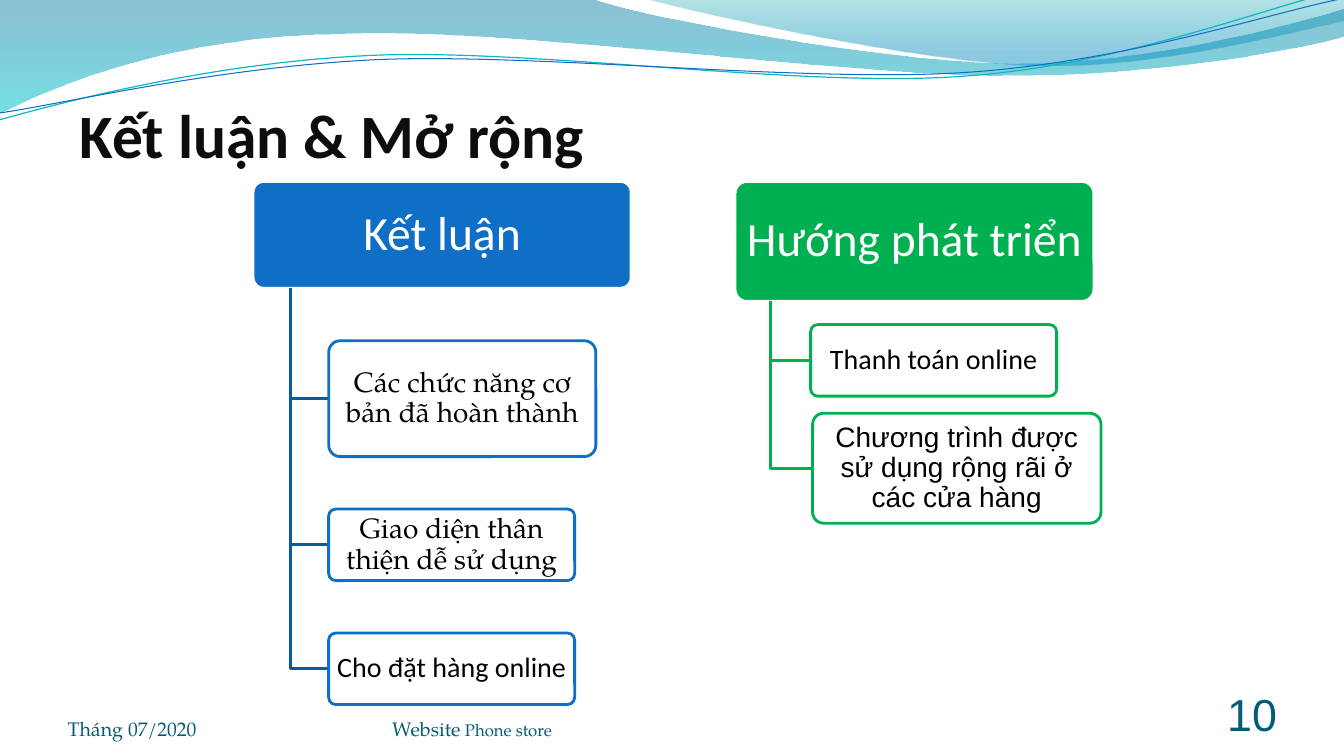
from math import cos, radians, sin

from lxml import etree
from pptx import Presentation
from pptx.dml.color import RGBColor
from pptx.enum.shapes import MSO_SHAPE
from pptx.enum.text import MSO_ANCHOR, PP_ALIGN
from pptx.oxml.ns import qn
from pptx.util import Inches, Pt

ROUNDED = MSO_SHAPE.ROUNDED_RECTANGLE
LEFT, CENTER, RIGHT = PP_ALIGN.LEFT, PP_ALIGN.CENTER, PP_ALIGN.RIGHT
MIDDLE, BOTTOM = MSO_ANCHOR.MIDDLE, MSO_ANCHOR.BOTTOM


class Theme:
    sans, serif, plain = "Calibri", "TeX Gyre Pagella", "Arial"
    title_size, header_size, item_size = 44, 34, 20
    footer_size, footer_small, number_size = 14, 12, 32
    title, footer, white, black = "0D0D0D", "045D75", "FFFFFF", "000000"
    blue, blue_branch, green = "0F6FC6", "0C599F", "00B050"
    teal_line = "0AB8BF"
    branch_width = 2


# Content: boxes are (left, top, width, height)
TITLE = "Kết luận & Mở rộng"
COLUMNS = [
    {"header": "Kết luận", "box": (2.51, 1.8, 3.75, 1.06),
     "color": Theme.blue, "branch": Theme.blue_branch,
     "items": [
         ("Các chức năng cơ bản đã hoàn thành", Theme.serif, (3.26, 3.38, 2.65, 1.15)),
         ("Giao diện thân thiện dễ sử dụng", Theme.serif, (3.26, 5.05, 2.44, 0.71)),
         ("Cho đặt hàng online", Theme.sans, (3.26, 6.28, 2.44, 0.71))]},
    {"header": "Hướng phát triển", "box": (7.29, 1.8, 3.56, 1.19),
     "color": Theme.green, "branch": Theme.green,
     "items": [
         ("Thanh toán online", Theme.sans, (8.04, 3.22, 2.44, 0.71)),
         ("Chương trình được sử dụng rộng rãi ở các cửa hàng", Theme.plain,
          (8.06, 4.1, 2.86, 1.09))]},
]
FOOTERS = [
    ((0.67, 6.95, 3.11, 0.4), LEFT, Theme.serif,
     [("Tháng 07/2020", Theme.footer_size)]),
    ((3.89, 6.95, 4.89, 0.4), LEFT, Theme.serif,
     [("Website", Theme.footer_size), (" Phone store", Theme.footer_small)]),
    ((11.56, 6.95, 1.11, 0.4), RIGHT, Theme.plain, [("10", Theme.number_size)]),
]

# Waves: a pair is a corner, six numbers are a Bézier segment
# Gradient stops are (position, colour, opacity in percent)
WAVE_FILLS = [
    ([(0, 0), (5.87, -0.01), (6.34, 0.17, 8.85, 0.63, 10.11, 0.63),
      (11.38, 0.63, 12.78, 0.26, 13.33, 0.09), (13.35, 0.36),
      (13.11, 0.44, 11.6, 0.76, 9.94, 0.75), (8.29, 0.75, 5.09, 0.28, 3.43, 0.34),
      (1.72, 0.36, 0.61, 0.83, -0.01, 1.13), (0, 0)],
     [(0, "0074A1", 45), (1, "00C6CF", 55)]),
    ([(6.39, -0.01), (6.79, 0.11, 9.09, 0.62, 10.25, 0.65),
      (11.41, 0.69, 12.82, 0.32, 13.33, 0.21), (13.33, 0), (6.39, -0.01)],
     [(0, "00A1A9", 30), (0.8, "008BBF", 45)]),
]
WAVE_LINES = [
    ([(-0.01, 1.19), (0.64, 1.01, 2.11, 0.62, 3.69, 0.55),
      (5.27, 0.48, 7.9, 0.87, 9.5, 0.76), (11.1, 0.66, 12.52, 0.08, 13.31, -0.1)],
     Theme.teal_line, 0.85),
    ([(0, 1.12), (0.63, 1.03, 2.18, 0.66, 3.78, 0.59),
      (5.37, 0.53, 7.96, 0.82, 9.55, 0.72), (11.15, 0.62, 12.55, 0.14, 13.34, -0.02)],
     Theme.blue, 0.75),
]
WAVE_TILT = -2.7
WAVE_CENTER = (6.66, 0.58)


def rgb(color):
    return RGBColor.from_string(color)


def inches(values):
    return [Inches(value) for value in values]


def pairs(segment):
    return list(zip(segment[::2], segment[1::2]))


def level(segment):
    """Turn a tilted segment back to horizontal about the wave centre."""
    angle, (center_x, center_y), result = radians(-WAVE_TILT), WAVE_CENTER, []
    for x, y in pairs(segment):
        dx, dy = x - center_x, y - center_y
        result += [center_x + dx * cos(angle) - dy * sin(angle),
                   center_y + dx * sin(angle) + dy * cos(angle)]
    return result


def add_outline(slide, segments, close=False):
    start, *ends = [inches(segment[-2:]) for segment in segments]
    builder = slide.shapes.build_freeform(*start, scale=1.0)
    builder.add_line_segments(ends, close=close)
    shape = builder.convert_to_shape()
    shape.shadow.inherit = False
    # Bend the straight pieces that carry control points
    pieces = list(shape.element.spPr.iter(qn("a:lnTo")))
    for piece, segment in zip(pieces, segments[1:]):
        if len(segment) == 6:
            curve = etree.Element(qn("a:cubicBezTo"))
            for x, y in pairs(segment):
                point = etree.SubElement(curve, qn("a:pt"))
                point.set("x", str(Inches(x) - shape.left))
                point.set("y", str(Inches(y) - shape.top))
            piece.getparent().replace(piece, curve)
    return shape


def add_line(slide, segments, color, width):
    shape = add_outline(slide, segments)
    shape.fill.background()
    shape.line.color.rgb = rgb(color)
    shape.line.width = Pt(width)
    return shape


def add_wave(slide, segments, stops):
    shape = add_outline(slide, segments, close=True)
    shape.line.fill.background()
    shape.fill.gradient()
    shape.fill.gradient_angle = 270
    for stop, (position, color, _) in zip(shape.fill.gradient_stops, stops):
        stop.position = position
        stop.color.rgb = rgb(color)
    colors = shape.element.spPr.find(qn("a:gradFill")).iter(qn("a:srgbClr"))
    for element, (_, _, opacity) in zip(colors, stops):
        etree.SubElement(element, qn("a:alpha")).set("val", str(opacity * 1000))


def set_text(shape, runs, font, color, align, anchor, insets, bold=False):
    frame = shape.text_frame
    frame.word_wrap = True
    frame.vertical_anchor = anchor
    (frame.margin_left, frame.margin_top,
     frame.margin_right, frame.margin_bottom) = inches(insets)
    paragraph = frame.paragraphs[0]
    paragraph.alignment = align
    for text, size in runs:
        run = paragraph.add_run()
        run.text = text
        run.font.name = font
        run.font.size = Pt(size)
        run.font.bold = bold
        run.font.color.rgb = rgb(color)
    return paragraph


def add_card(slide, box, fill, line, text, size, font, color, insets):
    shape = slide.shapes.add_shape(ROUNDED, *inches(box))
    shape.shadow.inherit = False
    shape.adjustments[0] = 0.1
    shape.fill.solid()
    shape.fill.fore_color.rgb = rgb(fill)
    shape.line.color.rgb = rgb(line)
    shape.line.width = Pt(Theme.branch_width)
    paragraph = set_text(shape, [(text, size)], font, color, CENTER, MIDDLE, insets)
    paragraph.line_spacing = 0.9


def add_column(slide, column):
    left, top, width, height = column["box"]
    trunk, bottom = left + width / 10, top + height
    add_card(slide, column["box"], column["color"], Theme.white, column["header"],
             Theme.header_size, Theme.sans, Theme.white, (0.06, 0.05, 0.06, 0.05))
    for text, font, box in column["items"]:
        middle = box[1] + box[3] / 2
        add_line(slide, [(trunk, bottom), (trunk, middle), (box[0], middle)],
                 column["branch"], Theme.branch_width)
        add_card(slide, box, Theme.white, column["color"], text, Theme.item_size,
                 font, Theme.black, (0.04, 0.03, 0.04, 0.03))


def main():
    presentation = Presentation()
    presentation.slide_width, presentation.slide_height = inches((13.33, 7.5))
    slide = presentation.slides.add_slide(presentation.slide_layouts[5])

    # Wave banner
    for segments, stops in WAVE_FILLS:
        add_wave(slide, segments, stops)
    for segments, color, width in WAVE_LINES:
        wave = add_line(slide, [level(segment) for segment in segments], color, width)
        wave.rotation = WAVE_TILT

    # Title
    title = slide.shapes.title
    title.left, title.top, title.width, title.height = inches((0.79, 0.44, 12, 1.25))
    set_text(title, [(TITLE, Theme.title_size)], Theme.sans, Theme.title, LEFT, BOTTOM,
             (0, 0.05, 0, 0), bold=True)

    # Footer
    for box, align, font, runs in FOOTERS:
        set_text(slide.shapes.add_textbox(*inches(box)), runs, font, Theme.footer,
                 align, BOTTOM, (0, 0, 0, 0))

    # Two hierarchies
    for column in COLUMNS:
        add_column(slide, column)

    presentation.save("out.pptx")


if __name__ == "__main__":
    main()
